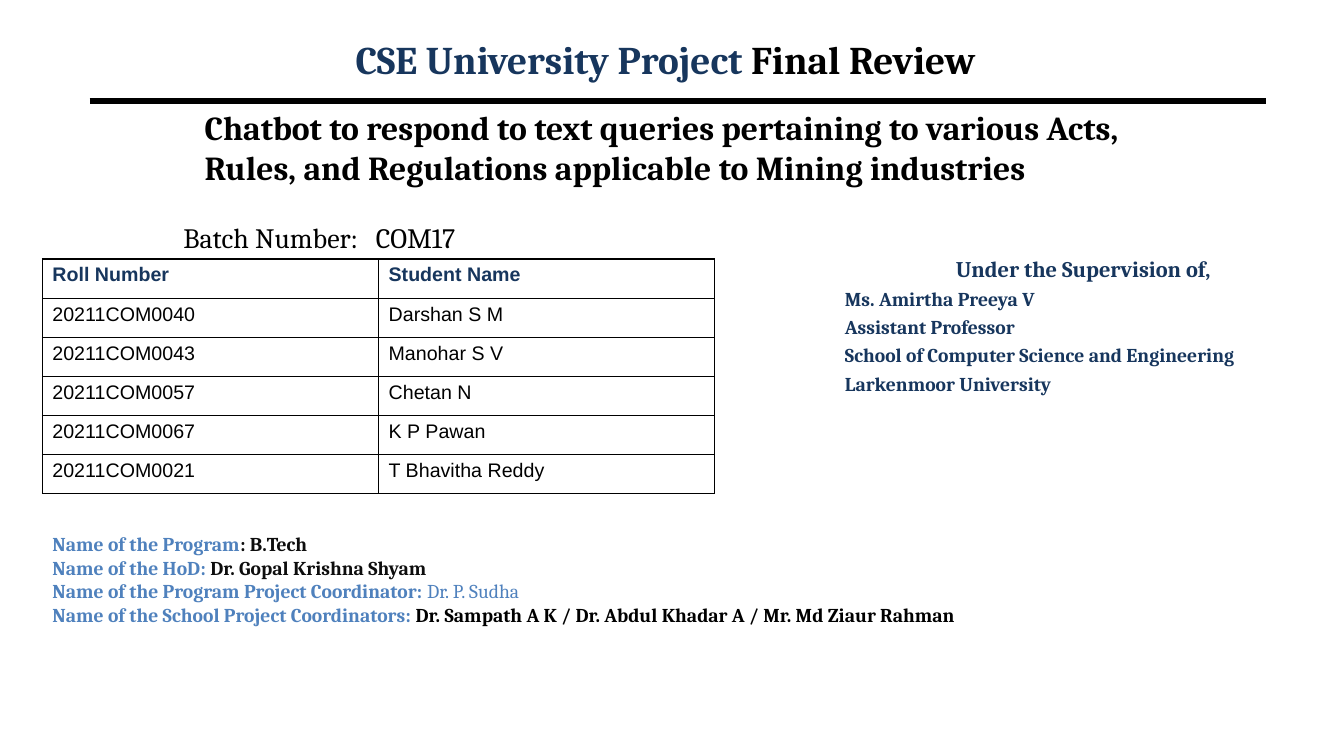
from dataclasses import dataclass

from lxml import etree
from pptx import Presentation
from pptx.dml.color import RGBColor
from pptx.enum.shapes import MSO_CONNECTOR
from pptx.enum.text import MSO_ANCHOR, MSO_AUTO_SIZE, PP_ALIGN
from pptx.oxml.ns import qn
from pptx.util import Inches, Pt

STRAIGHT = MSO_CONNECTOR.STRAIGHT
CENTER, LEFT = PP_ALIGN.CENTER, PP_ALIGN.LEFT
TOP = MSO_ANCHOR.TOP
NO_AUTOFIT = MSO_AUTO_SIZE.NONE
TWO_CONTENT_LAYOUT = 3


@dataclass(frozen=True)
class Theme:
    navy: str = "17365D"
    blue: str = "4F81BD"
    black: str = "000000"
    ink: str = "0D0D0D"
    serif: str = "Cambria"
    sans: str = "Arial"
    title: int = 28
    topic: int = 24
    batch: int = 20
    heading: int = 16
    body: int = 14


THEME = Theme()

STUDENTS = [
    ("Roll Number", "Student Name"),
    ("20211COM0040", "Darshan S M"),
    ("20211COM0043", "Manohar S V"),
    ("20211COM0057", "Chetan N"),
    ("20211COM0067", "K P Pawan"),
    ("20211COM0021", "T Bhavitha Reddy"),
]
SUPERVISION = [
    "Under the Supervision of,",
    "Ms. Amirtha Preeya V",
    "Assistant Professor",
    "School of Computer Science and Engineering",
    "Larkenmoor University",
]
# label, name, name colour, name bold
PROGRAM = [
    ("Name of the Program", ": B.Tech", THEME.ink, True),
    ("Name of the HoD: ", "Dr. Gopal Krishna Shyam", THEME.ink, True),
    ("Name of the Program Project Coordinator: ", "Dr. P. Sudha", THEME.blue, False),
    ("Name of the School Project Coordinators: ",
     "Dr. Sampath A K / Dr. Abdul Khadar A / Mr. Md Ziaur Rahman", THEME.black, True),
]


def style(run, size, color, bold=True, font=THEME.serif):
    run.font.name = font
    run.font.size = Pt(size)
    run.font.bold = bold
    run.font.color.rgb = RGBColor.from_string(color)


def add_run(paragraph, text, size, color, bold=True):
    run = paragraph.add_run()
    run.text = text
    style(run, size, color, bold)


def place(shape, box):
    """Move a text shape to box (inches) and return its wrapping text frame."""
    shape.left, shape.top, shape.width, shape.height = map(Inches, box)
    frame = shape.text_frame
    frame.word_wrap = True
    frame.auto_size = NO_AUTOFIT
    return frame


def make_plain(paragraph, space_before=0):
    """Remove the bullet and indent that a body placeholder gives."""
    paragraph.alignment = LEFT
    paragraph.space_before = Pt(space_before)
    properties = paragraph._p.get_or_add_pPr()
    properties.set("marL", "0")
    properties.set("indent", "0")
    etree.SubElement(properties, qn("a:buNone"))


def draw_title(title, box):
    frame = place(title, box)
    paragraph = frame.paragraphs[0]
    paragraph.alignment = CENTER
    add_run(paragraph, "CSE University Project ", THEME.title, THEME.navy)
    add_run(paragraph, "Final Review", THEME.title, THEME.black)


def draw_rule(slide, left, right, y):
    rule = slide.shapes.add_connector(
        STRAIGHT, Inches(left), Inches(y), Inches(right), Inches(y))
    rule.line.color.rgb = RGBColor.from_string(THEME.black)
    rule.line.width = Pt(4.5)
    etree.SubElement(rule._element.spPr, qn("a:effectLst"))


def draw_text(slide, box, text, size, bold):
    frame = place(slide.shapes.add_textbox(*map(Inches, box)), box)
    frame.text = text
    paragraph = frame.paragraphs[0]
    style(paragraph.runs[0], size, THEME.black, bold)
    return paragraph


def draw_batch(slide, box):
    batch = draw_text(slide, box, "Batch Number:\tCOM17", THEME.batch, False)
    tabs = etree.SubElement(batch._p.get_or_add_pPr(), qn("a:tabLst"))
    etree.SubElement(tabs, qn("a:tab"), pos=str(Inches(1.91)), algn="l")


def add_borders(cell):
    properties = cell._tc.get_or_add_tcPr()
    for side in ("lnL", "lnR", "lnT", "lnB"):
        border = etree.SubElement(properties, qn(f"a:{side}"), w=str(Pt(1)))
        fill = etree.SubElement(border, qn("a:solidFill"))
        etree.SubElement(fill, qn("a:srgbClr"), val=THEME.black)


def draw_students(slide, box):
    columns = len(STUDENTS[0])
    students = slide.shapes.add_table(
        len(STUDENTS), columns, *map(Inches, box)).table
    for r, entries in enumerate(STUDENTS):
        header = r == 0
        for c, entry in enumerate(entries):
            cell = students.cell(r, c)
            add_borders(cell)
            cell.fill.background()
            cell.text = entry
            style(cell.text_frame.paragraphs[0].runs[0], THEME.body,
                  THEME.navy if header else THEME.black, header, THEME.sans)


def draw_supervision(body, box):
    frame = place(body, box)
    frame.vertical_anchor = TOP
    frame.text = "\n".join(SUPERVISION)
    for i, paragraph in enumerate(frame.paragraphs):
        make_plain(paragraph, 3.4 if i else 0)
        style(paragraph.runs[0], THEME.body if i else THEME.heading, THEME.navy)
    frame.paragraphs[0].alignment = CENTER


def draw_program(body, box):
    frame = place(body, box)
    frame.vertical_anchor = TOP
    for i, (label, name, color, bold) in enumerate(PROGRAM):
        paragraph = frame.add_paragraph() if i else frame.paragraphs[0]
        make_plain(paragraph)
        add_run(paragraph, label, THEME.body, THEME.blue)
        add_run(paragraph, name, THEME.body, color, bold)


def main():
    deck = Presentation()
    deck.slide_width, deck.slide_height = Inches(13.33), Inches(7.5)
    slide = deck.slides.add_slide(deck.slide_layouts[TWO_CONTENT_LAYOUT])
    draw_rule(slide, 0.89, 12.56, 1)
    draw_title(slide.shapes.title, (1.99, 0.3, 9.22, 0.57))
    draw_batch(slide, (1.72, 2.14, 6.67, 0.44))
    draw_text(slide, (1.93, 1.01, 9.35, 0.91),
              "Chatbot to respond to text queries pertaining to various Acts, "
              "Rules, and Regulations applicable to Mining industries",
              THEME.topic, True)
    draw_students(slide, (0.42, 2.57, 6.67, 2.33))
    draw_supervision(slide.placeholders[1], (8.28, 2.48, 4.93, 1.72))
    draw_program(slide.placeholders[2], (0.42, 5.23, 12.55, 1.28))
    deck.save("out.pptx")


if __name__ == "__main__":
    main()
